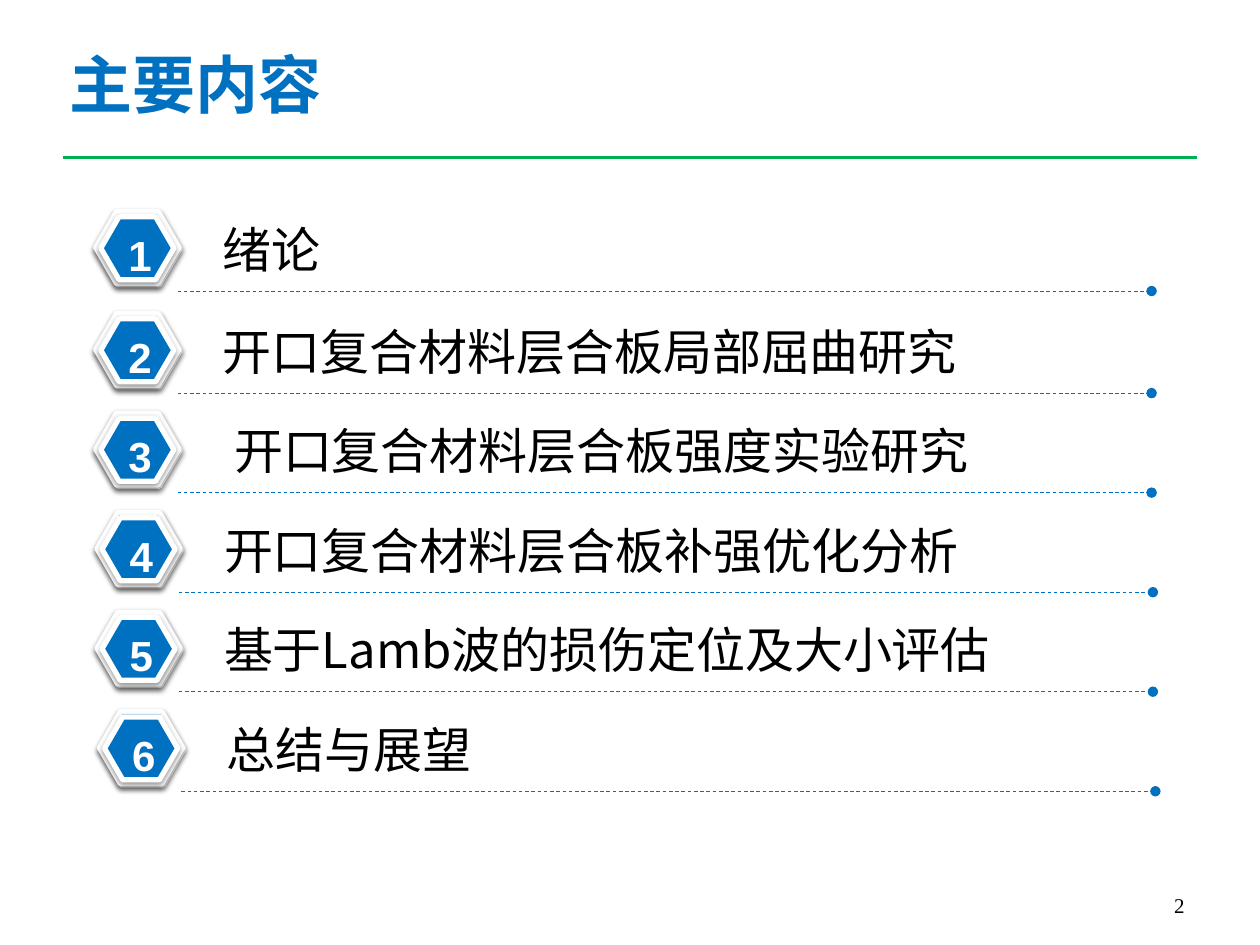
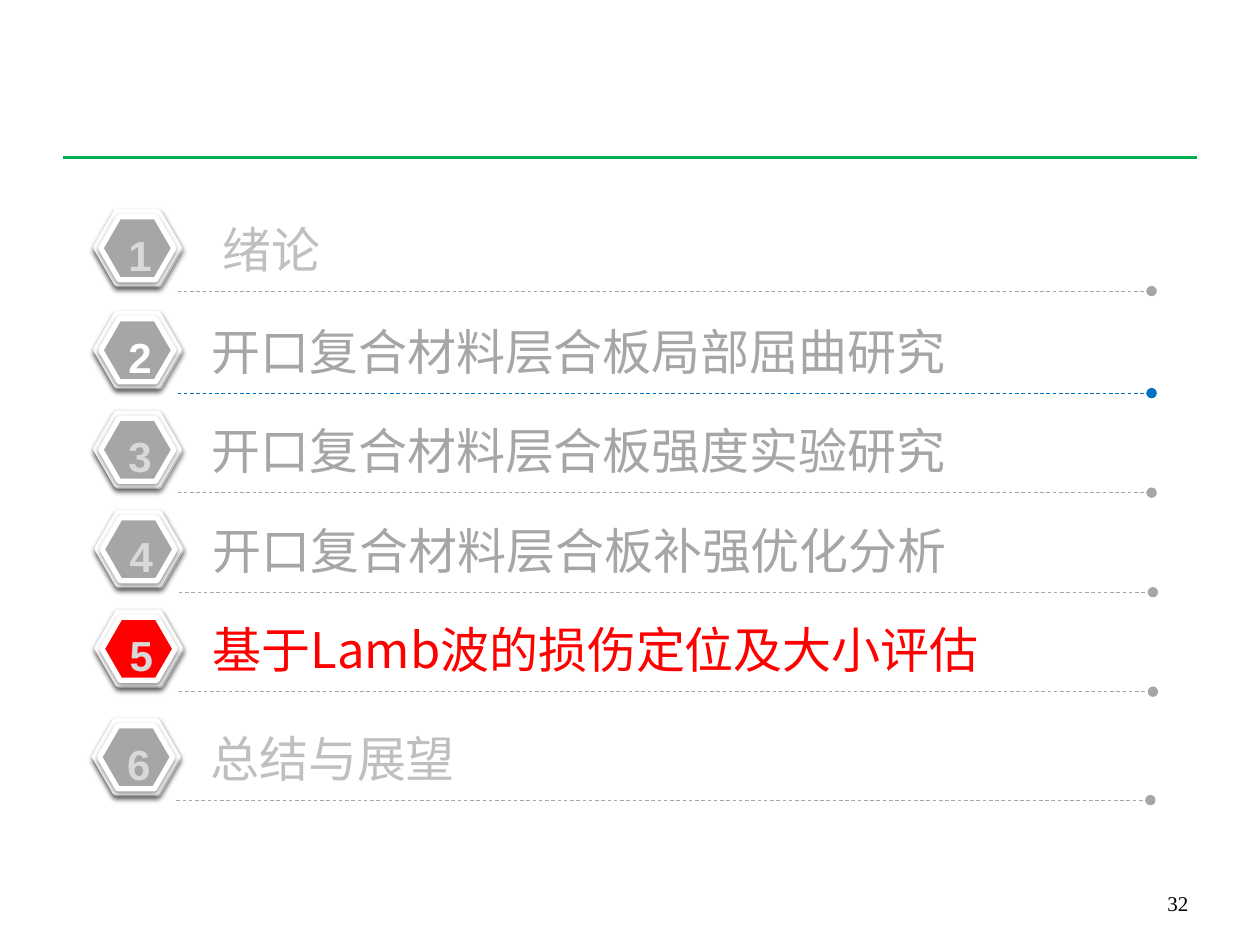
from dataclasses import dataclass

from lxml import etree
from pptx import Presentation
from pptx.dml.color import RGBColor
from pptx.enum.dml import MSO_LINE
from pptx.enum.shapes import MSO_CONNECTOR, MSO_SHAPE
from pptx.enum.text import MSO_ANCHOR, PP_ALIGN
from pptx.oxml.ns import qn
from pptx.util import Inches, Pt

HEXAGON = MSO_SHAPE.HEXAGON
STRAIGHT = MSO_CONNECTOR.STRAIGHT
DASH = MSO_LINE.DASH
TOP, BOTTOM = MSO_ANCHOR.TOP, MSO_ANCHOR.BOTTOM
LEFT, CENTER, RIGHT = PP_ALIGN.LEFT, PP_ALIGN.CENTER, PP_ALIGN.RIGHT

BLACK = RGBColor(0x00, 0x00, 0x00)
WHITE = RGBColor(0xFF, 0xFF, 0xFF)
BLUE = RGBColor(0x00, 0x70, 0xC0)
GREEN = RGBColor(0x00, 0xB0, 0x50)
RED = RGBColor(0xFF, 0x00, 0x00)
GRAY = RGBColor(0xA6, 0xA6, 0xA6)
SILVER = RGBColor(0xBF, 0xBF, 0xBF)
PALE = RGBColor(0xD9, 0xD9, 0xD9)

LATIN = "Arial"
CHINESE = "Noto Sans CJK SC"
SERIF = "Times New Roman"

SLIDE_WIDTH, SLIDE_HEIGHT = Inches(10), Inches(7.5)
COLUMN, ROW = SLIDE_WIDTH / 100, SLIDE_HEIGHT / 75
FIRST_TOP, SECOND_TOP, PITCH = 16.8, 24.9, 7.9
HEXAGON_LAYERS = [(0.1, 0.1, 6.6, 5.7), (0, 0, 6.6, 5.7), (0.4, 0.4, 5.8, 5)]
SPACE = 0.9

TOPICS = [
    "绪论",
    "开口复合材料层合板局部屈曲研究",
    "开口复合材料层合板强度实验研究",
    "开口复合材料层合板补强优化分析",
    "基于Lamb波的损伤定位及大小评估",
    "总结与展望",
]


@dataclass
class TopicStyle:
    badge: RGBColor
    number: RGBColor
    text: RGBColor
    rule: RGBColor
    left: float = 7.6
    indent: float = 0
    drop: float = 0


def place(left, top, width, height):
    return [round(left * COLUMN), round(top * ROW),
            round(width * COLUMN), round(height * ROW)]


def add_text(slide, box, text, size, color, font, bold=False,
             align=LEFT, anchor=TOP, margin_top=0.0):
    shape = slide.shapes.add_textbox(*place(*box))
    frame = shape.text_frame
    frame.word_wrap = True
    frame.vertical_anchor = anchor
    frame.margin_top = Inches(margin_top)
    paragraph = frame.paragraphs[0]
    paragraph.alignment = align
    run = paragraph.add_run()
    run.text = text
    run.font.size = Pt(size)
    run.font.bold = bold
    run.font.color.rgb = color
    run.font.name = font
    east_asian = CHINESE if font == LATIN else font
    properties = run.font._element
    etree.SubElement(properties, qn("a:ea")).set("typeface", east_asian)


def add_rule(slide, left, right, top, color, weight):
    x, y, width, _ = place(left, top, right - left, 0)
    line = slide.shapes.add_connector(STRAIGHT, x, y, x + width, y)
    line.line.color.rgb = color
    line.line.width = Pt(weight)
    etree.SubElement(line._element.spPr, qn("a:effectLst"))
    return line


def add_shadow(shape):
    effects = etree.SubElement(shape._element.spPr, qn("a:effectLst"))
    shadow = etree.SubElement(effects, qn("a:outerShdw"), blurRad=str(Pt(3.1)),
                              dist=str(Pt(1.6)), dir="5400000", rotWithShape="0")
    color = etree.SubElement(shadow, qn("a:srgbClr"), val=str(BLACK))
    etree.SubElement(color, qn("a:alpha"), val="38000")


def add_badge(slide, left, top, color):
    group = slide.shapes.add_group_shape()
    for dx, dy, width, height in HEXAGON_LAYERS:
        hexagon = group.shapes.add_shape(
            HEXAGON, *place(left + dx, top + dy, width, height))
        hexagon.adjustments[0] = 0.289
        hexagon.fill.solid()
        hexagon.fill.fore_color.rgb = color
        hexagon.line.color.rgb = WHITE
        hexagon.line.width = Pt(3)
        add_shadow(hexagon)


def add_topic(slide, number, topic, top, style):
    left = style.left
    add_badge(slide, left, top, style.badge)
    add_text(slide, (left + 8.2 + style.indent, top + 0.6, 77.8, 5.7),
             topic, 28, style.text, CHINESE)
    add_text(slide, (left + 1.6, top + 0.6, 3.5, 5), str(number), 24,
             style.number, LATIN, True, CENTER, margin_top=0.08)
    rule = add_rule(slide, left + 6.5, left + 83.8, top + 6.3, style.rule, 0.5)
    rule.line.dash_style = DASH
    etree.SubElement(rule.line._get_or_add_ln(), qn("a:tailEnd"), type="oval")


def add_frame(slide, page, page_left, page_top):
    add_rule(slide, 5, 95, 12.5, GREEN, 2.25)
    add_text(slide, (page_left, page_top, 23.3, 5), str(page), 12, BLACK, SERIF,
             align=RIGHT, anchor=BOTTOM, margin_top=0.05)


def add_contents(slide, styles):
    for index, (topic, style) in enumerate(zip(TOPICS, styles)):
        top = SECOND_TOP + (index - 1) * PITCH if index else FIRST_TOP
        add_topic(slide, index + 1, topic, top + style.drop, style)


def build_overview(slide):
    add_frame(slide, 2, 71.7, 68.3)
    add_text(slide, (4.5, 3.6, 28.7, 6.1), "主要内容", 36, BLUE, LATIN, True)
    positions = [(7.6, SPACE), (7.6, SPACE), (7.6, 1.8),
                 (7.7, SPACE), (7.7, SPACE), (7.9, SPACE)]
    add_contents(slide, [TopicStyle(BLUE, WHITE, BLACK, BLUE, left, indent)
                         for left, indent in positions])


def build_current_topic(slide):
    add_frame(slide, 32, 72, 68.2)
    add_contents(slide, [
        TopicStyle(GRAY, PALE, SILVER, GRAY, indent=SPACE),
        TopicStyle(GRAY, WHITE, GRAY, BLUE),
        TopicStyle(GRAY, PALE, GRAY, GRAY),
        TopicStyle(GRAY, PALE, GRAY, GRAY, left=7.7),
        TopicStyle(RED, PALE, RED, GRAY, left=7.7),
        TopicStyle(GRAY, PALE, SILVER, GRAY, left=7.5, drop=0.7),
    ])


def main():
    presentation = Presentation()
    presentation.slide_width = SLIDE_WIDTH
    presentation.slide_height = SLIDE_HEIGHT
    blank = presentation.slide_layouts[6]
    for build in (build_overview, build_current_topic):
        build(presentation.slides.add_slide(blank))
    presentation.save("out.pptx")


if __name__ == "__main__":
    main()
